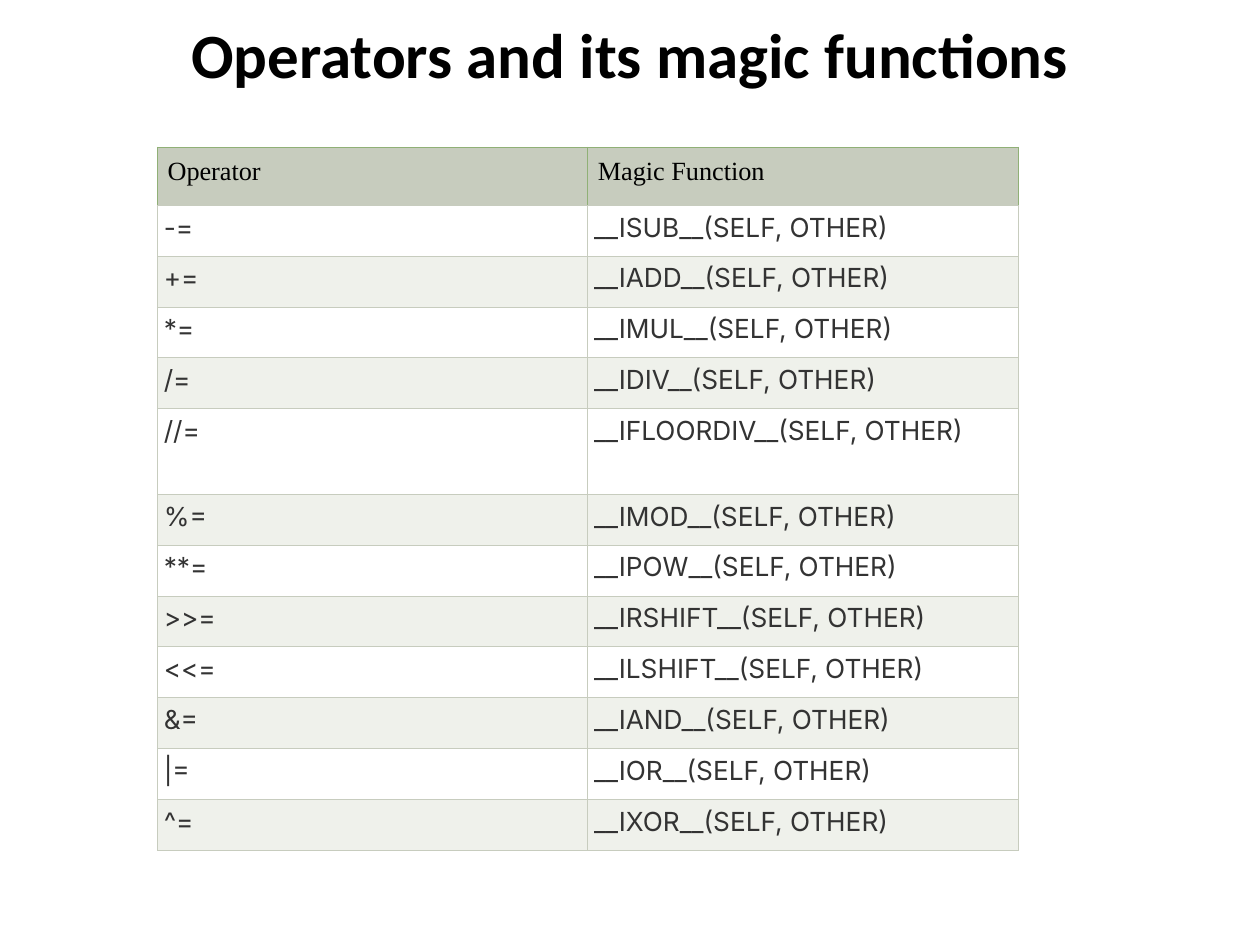
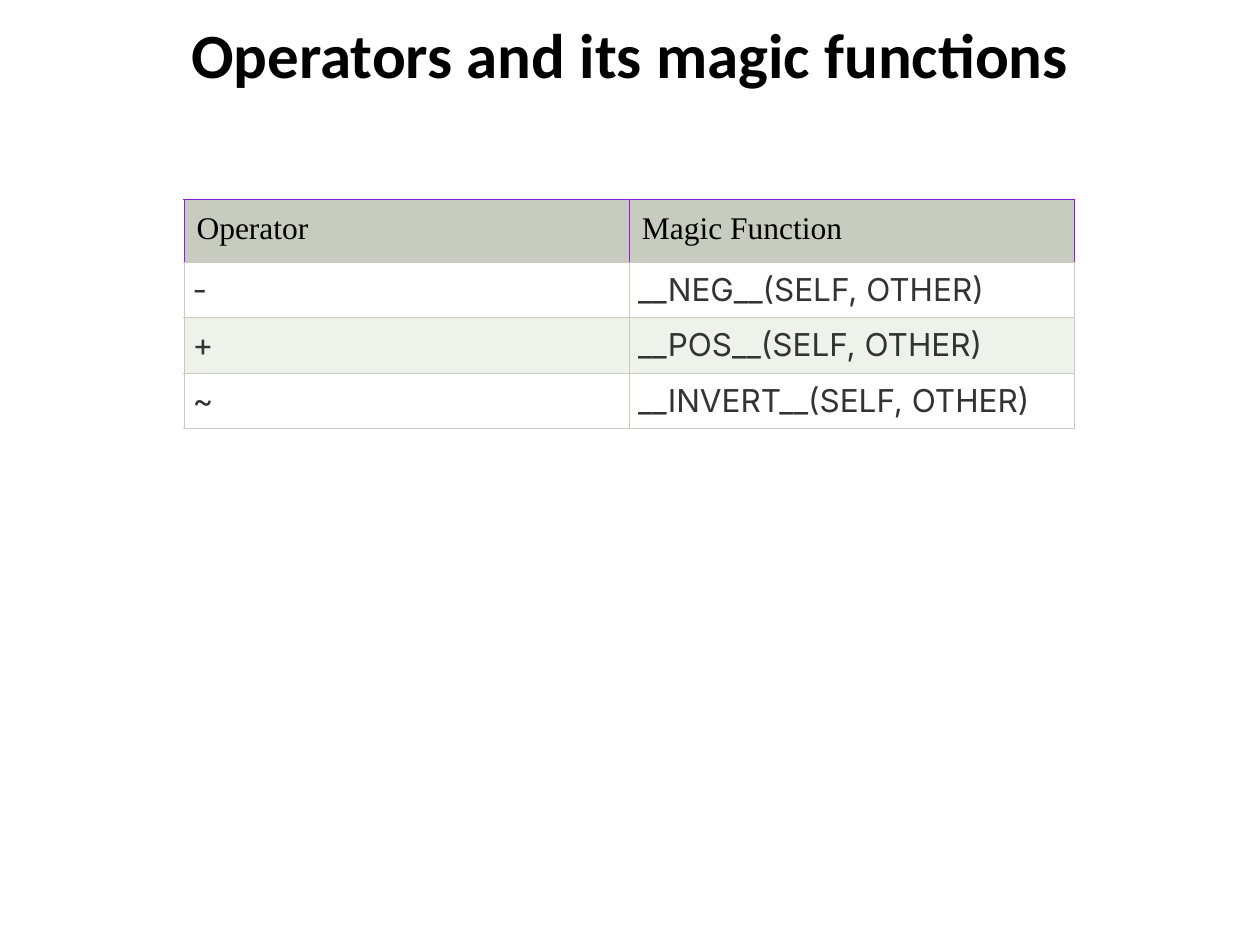
from lxml.etree import SubElement as add_element
from pptx import Presentation
from pptx.dml.color import RGBColor
from pptx.enum.text import MSO_ANCHOR as Anchor, PP_ALIGN as Align
from pptx.oxml.ns import qn
from pptx.util import Inches, Pt

BLACK = RGBColor(0x00, 0x00, 0x00)
CHARCOAL = RGBColor(0x33, 0x33, 0x33)
WHITE = RGBColor(0xFF, 0xFF, 0xFF)
PALE_SAGE = RGBColor(0xEF, 0xF1, 0xEB)
SAGE = RGBColor(0xC7, 0xCC, 0xBE)
GREEN = RGBColor(0x90, 0xB0, 0x76)
PURPLE = RGBColor(0x90, 0x1E, 0xE2)

TITLE = "Operators and its magic functions"
HEADINGS = ("Operator", "Magic Function")
ASSIGNMENT_OPERATORS = (
    ("-=", "ISUB"),
    ("+=", "IADD"),
    ("*=", "IMUL"),
    ("/=", "IDIV"),
    ("//=", "IFLOORDIV"),
    ("%=", "IMOD"),
    ("**=", "IPOW"),
    (">>=", "IRSHIFT"),
    ("<<=", "ILSHIFT"),
    ("&=", "IAND"),
    ("|=", "IOR"),
    ("^=", "IXOR"),
)
UNARY_OPERATORS = (("-", "NEG"), ("+", "POS"), ("~", "INVERT"))


class OperatorDeck:
    title_font = "Calibri"
    heading_font = "Times New Roman"
    body_font = "Inter"
    title_size = 36
    border_width = Pt(0.6)

    def __init__(self):
        self.deck = Presentation()
        self.deck.slide_width = Inches(10)
        self.deck.slide_height = Inches(7.5)
        self.slide = None

    def across(self, percent):
        return round(self.deck.slide_width * percent / 100)

    def down(self, percent):
        return round(self.deck.slide_height * percent / 100)

    def start_slide(self):
        self.slide = self.deck.slides.add_slide(self.deck.slide_layouts[6])
        self.add_title(TITLE)

    def style(self, frame, font, size, color, align, bold=False):
        para = frame.paragraphs[0]
        para.alignment = align
        for span in para.runs:
            span.font.name = font
            span.font.size = Pt(size)
            span.font.bold = bold
            span.font.color.rgb = color

    def add_title(self, text):
        box = self.slide.shapes.add_textbox(
            0, self.down(-1.07), self.across(100), self.down(13.33))
        frame = box.text_frame
        frame.word_wrap = True
        frame.vertical_anchor = Anchor.MIDDLE
        frame.text = text
        self.style(frame, self.title_font, self.title_size, BLACK,
                   Align.CENTER, bold=True)

    def set_borders(self, cell, edge_color):
        properties = cell._tc.get_or_add_tcPr()
        colors = {"L": edge_color, "R": edge_color, "T": edge_color, "B": SAGE}
        for side, color in colors.items():
            line = add_element(properties, qn(f"a:ln{side}"),
                               w=str(self.border_width))
            fill = add_element(line, qn("a:solidFill"))
            add_element(fill, qn("a:srgbClr"), val=str(color))

    def fill_cell(self, cell, text, inset, fill, edge_color):
        cell.text = text
        margin = self.across(inset)
        cell.margin_left = cell.margin_right = margin
        cell.margin_top = cell.margin_bottom = margin
        self.set_borders(cell, edge_color)
        cell.fill.solid()
        cell.fill.fore_color.rgb = fill

    def add_operator_table(self, operators, area, header_height, size,
                           insets, header_edge, tall_rows=None):
        left, top, width, height = area
        fixed_heights = {0: header_height, **(tall_rows or {})}
        row_count = len(operators) + 1
        regular_height = ((height - sum(fixed_heights.values()))
                          / (row_count - len(fixed_heights)))
        table = self.slide.shapes.add_table(
            row_count, len(HEADINGS), self.across(left), self.down(top),
            self.across(width), self.down(height)).table
        table.first_row = False
        table.horz_banding = False
        for index, row in enumerate(table.rows):
            row.height = self.down(fixed_heights.get(index, regular_height))

        heading_inset, body_inset = insets
        for cell, heading in zip(table.rows[0].cells, HEADINGS):
            self.fill_cell(cell, heading, heading_inset, SAGE, header_edge)
            self.style(cell.text_frame, self.heading_font, size, BLACK,
                       Align.LEFT)
        for index, (operator, name) in enumerate(operators, start=1):
            texts = (operator, f"__{name}__(SELF, OTHER)")
            fill = WHITE if index % 2 else PALE_SAGE
            for cell, text in zip(table.rows[index].cells, texts):
                self.fill_cell(cell, text, body_inset, fill, SAGE)
                self.style(cell.text_frame, self.body_font, size, CHARCOAL,
                           Align.JUSTIFY)

    def save(self):
        self.deck.save("out.pptx")


def main():
    deck = OperatorDeck()
    deck.start_slide()
    deck.add_operator_table(
        ASSIGNMENT_OPERATORS, area=(12.5, 15.6, 68.3, 74.4),
        header_height=6.13, size=15, insets=(0.8, 0.5),
        header_edge=GREEN, tall_rows={5: 9.07})
    deck.start_slide()
    deck.add_operator_table(
        UNARY_OPERATORS, area=(14.6, 21.07, 70.7, 24),
        header_height=6.4, size=18, insets=(1, 0.7), header_edge=PURPLE)
    deck.save()


if __name__ == "__main__":
    main()
